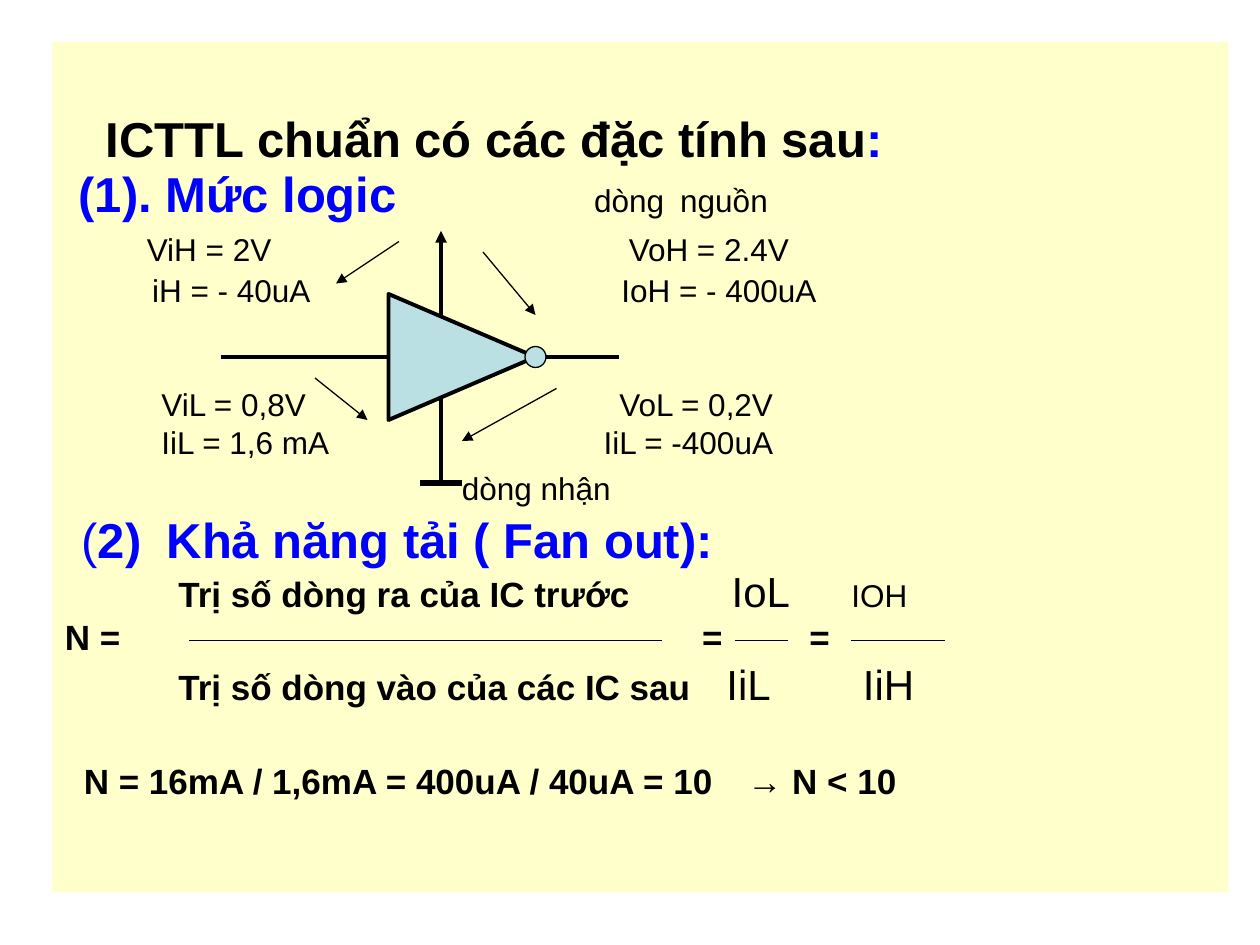
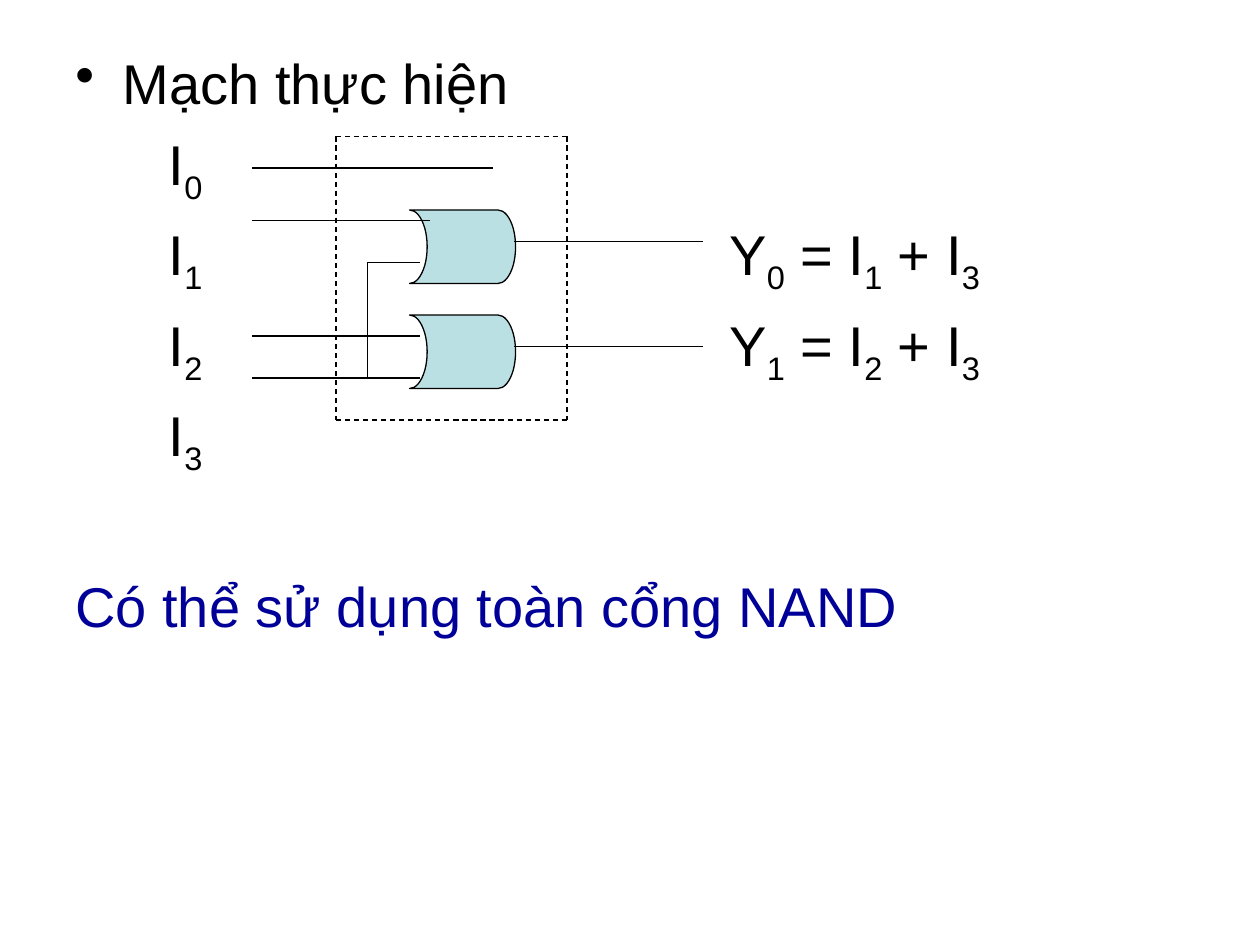
from lxml.etree import SubElement
from pptx import Presentation
from pptx.dml.color import RGBColor
from pptx.enum.dml import MSO_LINE
from pptx.enum.shapes import MSO_CONNECTOR, MSO_SHAPE
from pptx.enum.text import MSO_ANCHOR, MSO_AUTO_SIZE
from pptx.oxml.ns import qn
from pptx.util import Pt

PX = 7620
FONT = "Arial"
BLACK = RGBColor(0x00, 0x00, 0x00)
BLUE = RGBColor(0x00, 0x00, 0xFF)
NAVY = RGBColor(0x00, 0x00, 0x99)
CREAM = RGBColor(0xFF, 0xFF, 0xCC)
TEAL = RGBColor(0xBB, 0xE0, 0xE3)


def add_line(s, x1, y1, x2, y2, width=0.75, arrow=False, dash=False):
    cn = s.shapes.add_connector(MSO_CONNECTOR.STRAIGHT, x1 * PX, y1 * PX, x2 * PX, y2 * PX)
    cn.line.color.rgb = BLACK
    cn.line.width = Pt(width)
    if dash:
        cn.line.dash_style = MSO_LINE.DASH
    if arrow:
        SubElement(cn.line._get_or_add_ln(), qn("a:tailEnd"), type="triangle")
    SubElement(cn._element.spPr, qn("a:effectLst"))


def write_row(p, runs, tabs, bullet=None):
    pPr = p._p.get_or_add_pPr()
    if bullet:
        pPr.set("marL", str(45 * PX))
        pPr.set("indent", str(-45 * PX))
        SubElement(pPr, qn("a:buChar"), char=bullet)
    if tabs:
        tab_list = SubElement(pPr, qn("a:tabLst"))
        for x in tabs:
            SubElement(tab_list, qn("a:tab"), pos=str(x * PX), algn="l")
    for text, size, bold, color in runs:
        r = p.add_run()
        r.text = text
        r.font.name = FONT
        r.font.size = Pt(size)
        r.font.bold = bold
        r.font.color.rgb = color


prs = Presentation()
prs.slide_width = 1200 * PX
prs.slide_height = 900 * PX

slides = []
for x, y, w, h, top in [(50, 40, 1120, 810, 66), (60, 40, 1080, 764, 6)]:
    s = prs.slides.add_slide(prs.slide_layouts[6])
    body = s.shapes.add_textbox(x * PX, y * PX, w * PX, h * PX)
    tf = body.text_frame
    tf.auto_size = MSO_AUTO_SIZE.NONE
    tf.vertical_anchor = MSO_ANCHOR.TOP
    tf.word_wrap = True
    tf.margin_left = tf.margin_right = 12 * PX
    tf.margin_top, tf.margin_bottom = top * PX, 6 * PX
    slides.append((s, body, tf))

s, body, tf = slides[0]
body.fill.solid()
body.fill.fore_color.rgb = CREAM

ttl_rows = [
    (32, 0, [39], [("\tICTTL chuẩn có các đặc tính sau", 28, True, BLACK), (":", 28, True, BLUE)]),
    (31.4, 0, [13, 504, 586], [("\t(1). Mức logic", 28, True, BLUE),
                               ("\tdòng\tnguồn", 18, False, BLACK)]),
    (25.9, 0, [78, 537], [("\tViH = 2V\tVoH = 2.4V", 18, False, BLACK)]),
    (23.3, 0, [83, 530], [("\tiH = - 40uA\tIoH = - 400uA", 18, False, BLACK)]),
    (21.5, 44, [92, 528], [("\tViL = 0,8V\tVoL = 0,2V", 18, False, BLACK)]),
    (21.5, 0, [92, 513], [("\tIiL = 1,6 mA\tIiL = -400uA", 18, False, BLACK)]),
    (26.6, 0, [378], [("\tdòng nhận", 18, False, BLACK)]),
    (34.9, 0, [16, 97], [("\t(", 28, False, BLUE), ("2)\tKhả năng tải ( Fan out):", 28, True, BLUE)]),
    (27.5, 0, [108, 635, 749], [("\tTrị số dòng ra của IC trước", 20, True, BLACK),
                                ("\tIoL", 24, False, BLACK), ("\tIOH", 18, False, BLACK)]),
    (23.7, 0, [607, 709], [("N =\t=\t=", 20, True, BLACK)]),
    (29.3, 0, [108, 630, 760], [("\tTrị số dòng vào của các IC sau", 20, True, BLACK),
                                ("\tIiL\tIiH", 24, False, BLACK)]),
    (28.7, 24, [18, 650], [("\tN = 16mA / 1,6mA = 400uA / 40uA = 10\t→ N < 10", 20, True, BLACK)]),
]
for i, (height, before, tabs, runs) in enumerate(ttl_rows):
    p = tf.add_paragraph() if i else tf.paragraphs[0]
    write_row(p, runs, tabs)
    p.line_spacing = Pt(height)
    p.space_before = Pt(before)

add_line(s, 210, 340, 590, 340, 2.25)
add_line(s, 420, 300, 420, 220, 2.25, arrow=True)
add_line(s, 420, 360, 420, 460, 2.25)
add_line(s, 400, 460, 440, 460, 3)
for current in [(380, 230, 320, 270), (460, 240, 510, 300), (300, 360, 350, 400), (530, 370, 440, 420)]:
    add_line(s, *current, arrow=True)
for x1, x2 in [(180, 630), (700, 750), (810, 900)]:
    add_line(s, x1, 610, x2, 610)

inverter = [(MSO_SHAPE.ISOSCELES_TRIANGLE, 380, 270, 120, 140, 90, 2.25),
            (MSO_SHAPE.OVAL, 500, 330, 20, 20, 0, 0.75)]
or_gates = [(MSO_SHAPE.FLOWCHART_STORED_DATA, 390, y, 101, 70, 180, 0.75) for y in (200, 300)]
for (s, body, tf), parts in zip(slides, [inverter, or_gates]):
    for kind, x, y, w, h, angle, width in parts:
        sp = s.shapes.add_shape(kind, x * PX, y * PX, w * PX, h * PX)
        sp.rotation = angle
        sp.shadow.inherit = False
        sp.fill.solid()
        sp.fill.fore_color.rgb = TEAL
        sp.line.color.rgb = BLACK
        sp.line.width = Pt(width)

s, body, tf = slides[1]
encoder_rows = [
    ("Mạch thực hiện", BLACK, 0, "•"),
    ("\tI|0", BLACK, 8, None),
    ("\tI|1|\tY|0| = I|1| + I|3", BLACK, 8, None),
    ("\tI|2|\tY|1| = I|2| + I|3", BLACK, 8, None),
    ("\tI|3", BLACK, 8, None),
    ("Có thể sử dụng toàn cổng NAND", NAVY, 54, None),
]
for i, (text, color, before, bullet) in enumerate(encoder_rows):
    p = tf.add_paragraph() if i else tf.paragraphs[0]
    tabs = [89, 623] if "\t" in text else []
    write_row(p, [(part, 32, False, color) for part in text.split("|")], tabs, bullet)
    p.line_spacing = 1.0
    p.space_before = Pt(before)
    for r in p.runs[1::2]:
        r._r.get_or_add_rPr().set("baseline", "-25000")

wires = [(240, 160, 470, 160), (240, 210, 410, 210), (240, 320, 400, 320), (240, 360, 400, 360),
         (350, 360, 350, 250), (350, 250, 400, 250), (490, 230, 670, 230), (490, 330, 670, 330)]
for wire in wires:
    add_line(s, *wire)

left, top, right, bottom = 320, 130, 540, 400
for x in (left, right):
    add_line(s, x, top, x, bottom, dash=True)
for y in (top, bottom):
    add_line(s, left, y, right, y, dash=True)

prs.save("out.pptx")
